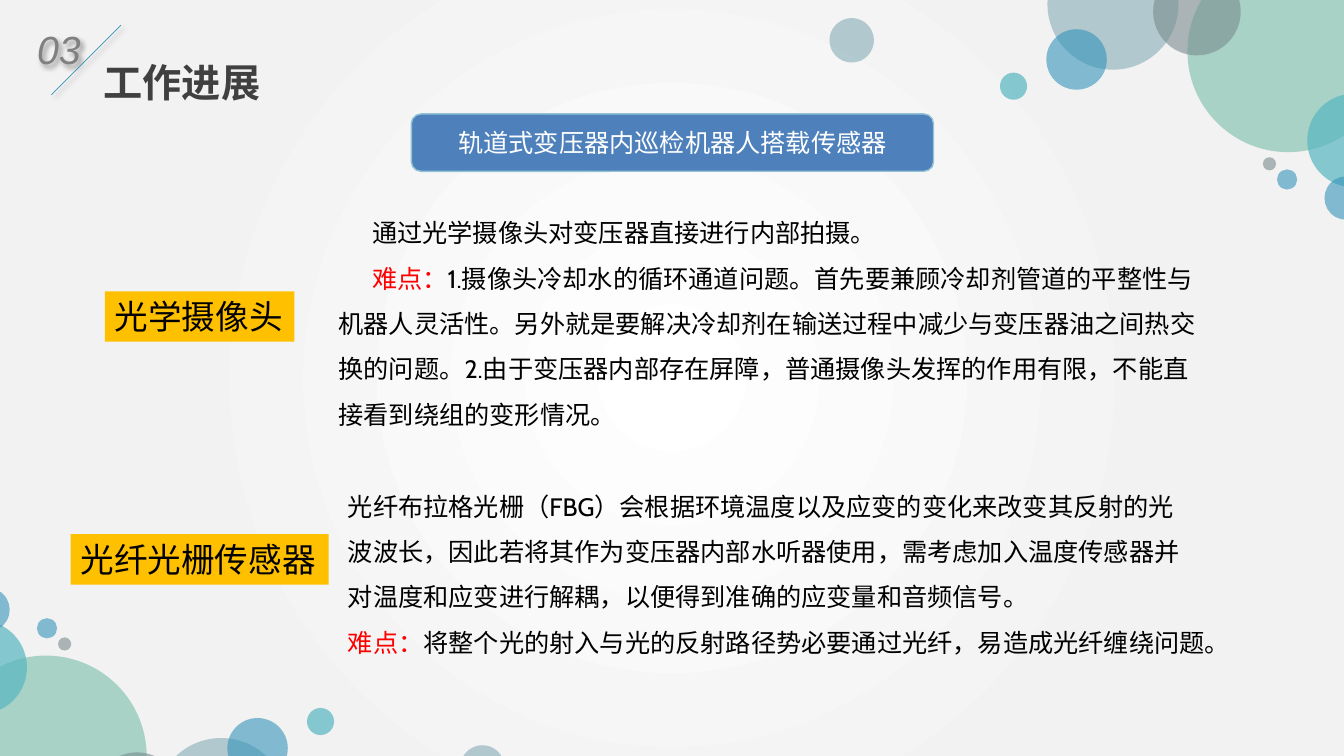
from lxml import etree
from pptx import Presentation
from pptx.dml.color import RGBColor
from pptx.enum import shapes, text
from pptx.oxml import parse_xml
from pptx.oxml.ns import nsdecls, qn
from pptx.util import Pt

COLORS = {
    "white": "FFFFFF", "mist": "F2F2F2", "black": "000000", "red": "FF0000",
    "title": "404040", "number": "808080", "banner": "4E81BC",
    "border": "93C2D5", "label": "FFC000", "blue": "3494BA",
    "teal": "58B6C0", "green": "75BDA7", "steel": "84ACB6", "gray": "7A8C8E",
}
BACKGROUND = [(0, "white"), (67, "mist"), (100, "mist")]
BUBBLES = [
    (795, 3, 93.6, "steel", 60),
    (920.2, 36.7, 144, "green", 60),
    (855, 8.3, 62.6, "gray", 60),
    (769, 42.5, 43.2, "blue", 60),
    (967.3, 100.4, 67, "teal", 70),
    (724, 61.6, 19.4, "teal", 70),
    (961.6, 141.5, 31, "blue", 60),
    (919.4, 128.2, 14.4, "blue", 60),
    (906.8, 117, 9.4, "gray", 60),
    (608.4, 28.8, 31.7, "steel", 60),
]
MIRROR = (953, 577)
SLASH = (86.4, 18, 36.7, 67.7)
NUMBER = ("03", (19.4, 4.3, 56.2, 46.8))
TITLE = ("工作进展", (67, 28.1, 219.6, 54))
BANNER = ("轨道式变压器内巡检机器人搭载传感器", (293.8, 81.4, 373, 41))
LABELS = [
    ("光学摄像头", (74.9, 208.1, 135.4, 36)),
    ("光纤光栅传感器", (50.4, 381.6, 184.3, 36)),
]
BODIES = [
    ((234.7, 140.4, 632.9, 170.6), True, [
        [("通过光学摄像头对变压器直接进行内部拍摄。", "black")],
        [("难点：", "red"),
         ("1.摄像头冷却水的循环通道问题。首先要兼顾冷却剂管道的平整性"
          "与机器人灵活性。另外就是要解决冷却剂在输送过程中减少与变压器油之间热"
          "交换的问题。2.由于变压器内部存在屏障，普通摄像头发挥的作用有限，不能"
          "直接看到绕组的变形情况。", "black")],
    ]),
    ((217.4, 335.5, 674.6, 138.2), False, [
        [("光纤布拉格光栅（FBG）会根据环境温度以及应变的变化来改变其反射的光", "black")],
        [("波波长，因此若将其作为变压器内部水听器使用，需考虑加入温度传感器并", "black")],
        [("对温度和应变进行解耦，以便得到准确的应变量和音频信号。", "black")],
        [("难点：", "red"),
         ("将整个光的射入与光的反射路径势必要通过光纤，易造成光纤缠绕问题。", "black")],
    ]),
]


def rgb(name):
    return RGBColor.from_string(COLORS[name])


def points(values):
    return [Pt(value) for value in values]


def paint_background(page):
    page.background.fill.gradient()
    gradient = page.element.find(".//" + qn("a:gradFill"))
    for child in list(gradient):
        gradient.remove(child)
    stops = etree.SubElement(gradient, qn("a:gsLst"))
    for position, name in BACKGROUND:
        stop = etree.SubElement(stops, qn("a:gs"), pos=str(position * 1000))
        etree.SubElement(stop, qn("a:srgbClr"), val=COLORS[name])
    circle = etree.SubElement(gradient, qn("a:path"), path="circle")
    middle = dict.fromkeys("ltrb", "50000")
    etree.SubElement(circle, qn("a:fillToRect"), middle)


def add_bubble(page, x, y, size, name, opacity):
    place = points((x - size / 2, y - size / 2, size, size))
    bubble = page.shapes.add_shape(shapes.MSO_SHAPE.OVAL, *place)
    bubble.shadow.inherit = False
    bubble.fill.solid()
    bubble.fill.fore_color.rgb = rgb(name)
    bubble.line.fill.background()
    color = bubble.element.spPr.find(".//" + qn("a:srgbClr"))
    etree.SubElement(color, qn("a:alpha"), val=str(opacity * 1000))


def add_shadow(item):
    item.element.spPr.append(parse_xml(
        f'<a:effectLst {nsdecls("a")}><a:outerShdw blurRad="50800" dist="38100" '
        'dir="2700000" algn="tl" rotWithShape="0"><a:srgbClr val="000000">'
        '<a:alpha val="40000"/></a:srgbClr></a:outerShdw></a:effectLst>'))


def add_text(page, place, paragraphs, size, wrap=True, spacing=None, indent=0,
             font="Cabin", bold=False, italic=False, grow=True):
    box = page.shapes.add_textbox(*points(place))
    frame = box.text_frame
    frame.word_wrap = wrap
    if grow:
        frame.auto_size = text.MSO_AUTO_SIZE.SHAPE_TO_FIT_TEXT
    for index, spans in enumerate(paragraphs):
        para = frame.add_paragraph() if index else frame.paragraphs[0]
        if spacing:
            para.line_spacing = spacing
        if indent:
            properties = para._p.get_or_add_pPr()
            properties.set("marL", "0")
            properties.set("indent", str(Pt(indent)))
        para.font.name = font
        para.font.size = Pt(size)
        para.font.bold = bold
        para.font.italic = italic
        for words, name in spans:
            span = para.add_run()
            span.text = words
            span.font.color.rgb = rgb(name)
    return box


def add_banner(page):
    words, place = BANNER
    banner = page.shapes.add_shape(shapes.MSO_SHAPE.ROUNDED_RECTANGLE, *points(place))
    banner.shadow.inherit = False
    banner.fill.solid()
    banner.fill.fore_color.rgb = rgb("banner")
    banner.line.color.rgb = rgb("border")
    banner.line.width = Pt(1)
    banner.text_frame.vertical_anchor = text.MSO_ANCHOR.MIDDLE
    para = banner.text_frame.paragraphs[0]
    para.text = words
    para.alignment = text.PP_ALIGN.CENTER
    para.font.name = "Cabin"
    para.font.size = Pt(18)
    para.font.color.rgb = rgb("white")


def add_heading(page):
    words, place = TITLE
    add_text(page, place, [[(words, "title")]], 28, spacing=1.3, bold=True, grow=False)
    words, place = NUMBER
    number = add_text(page, place, [[(words, "number")]], 28, spacing=1.3,
                      font="Arial", italic=True)
    add_shadow(number)
    slash = page.shapes.add_connector(shapes.MSO_CONNECTOR.STRAIGHT, *points(SLASH))
    slash.line.color.rgb = rgb("blue")
    slash.line.width = Pt(0.5)
    add_shadow(slash)


def main():
    deck = Presentation()
    deck.slide_width, deck.slide_height = Pt(960), Pt(540)
    page = deck.slides.add_slide(deck.slide_layouts[6])
    paint_background(page)
    for bubble in BUBBLES:
        add_bubble(page, *bubble)
    for x, y, *look in BUBBLES:
        add_bubble(page, MIRROR[0] - x, MIRROR[1] - y, *look)
    add_heading(page)
    add_banner(page)
    for words, place in LABELS:
        label = add_text(page, place, [[(words, "black")]], 24, wrap=False)
        label.fill.solid()
        label.fill.fore_color.rgb = rgb("label")
    for place, wrap, paragraphs in BODIES:
        body = add_text(page, place, paragraphs, 18, wrap, spacing=1.5, indent=24)
        body.text_frame.vertical_anchor = text.MSO_ANCHOR.MIDDLE
    deck.save("out.pptx")


if __name__ == "__main__":
    main()
